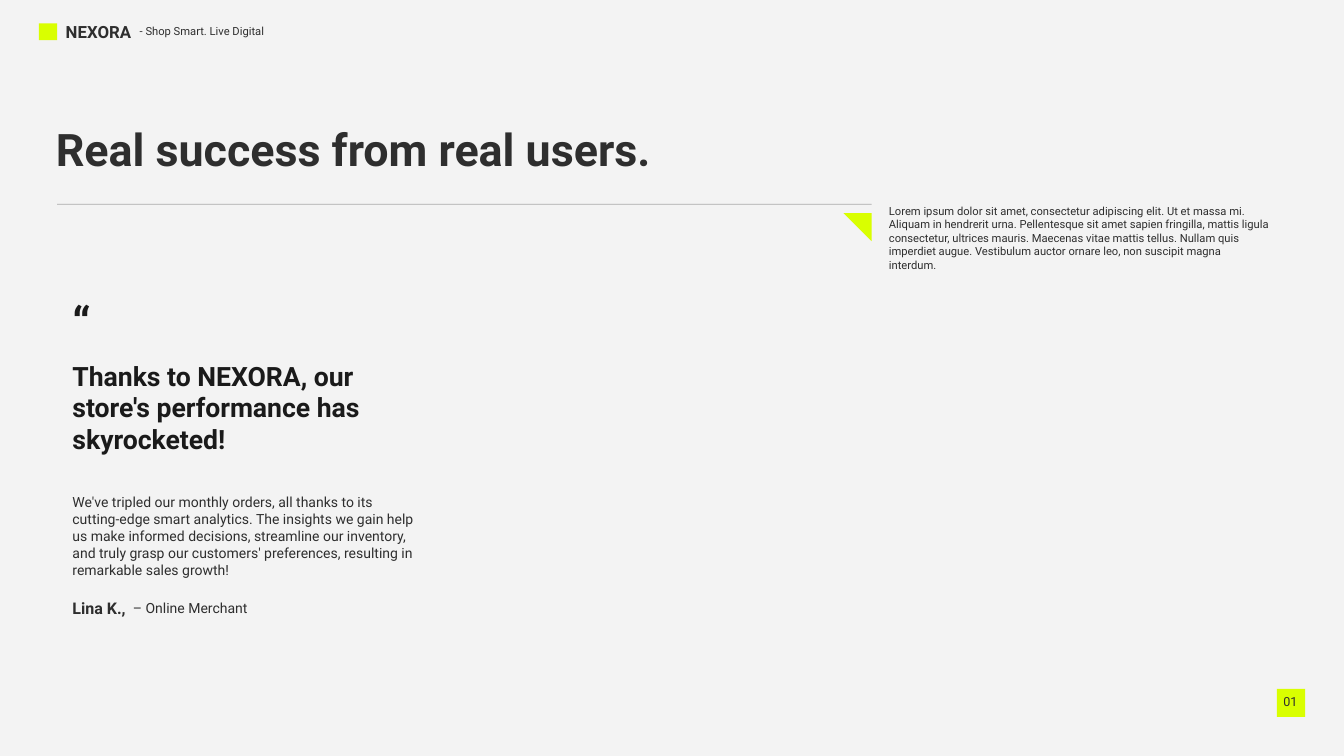
"""Build the customer testimonial slide."""
from lxml.etree import SubElement
from pptx import Presentation
from pptx.dml.color import RGBColor
from pptx.enum.shapes import MSO_CONNECTOR, MSO_SHAPE
from pptx.enum.text import MSO_ANCHOR, MSO_AUTO_SIZE, PP_ALIGN
from pptx.oxml.ns import qn
from pptx.util import Inches, Pt

WIDTH, HEIGHT = Inches(20), Inches(11.25)
FONT = "Roboto"
PAPER, INK, BLACK, LIME = "F3F3F3", "2E2E2E", "1A1A1A", "D9FF00"
MARGIN = 4.9

HEADLINE = ["Real success from real users."]
INTRO = [
    "Lorem ipsum dolor sit amet, consectetur adipiscing elit. Ut et massa mi.",
    "Aliquam in hendrerit urna. Pellentesque sit amet sapien fringilla, mattis ligula",
    "consectetur, ultrices mauris. Maecenas vitae mattis tellus. Nullam quis",
    "imperdiet augue. Vestibulum auctor ornare leo, non suscipit magna",
    "interdum.",
]
QUOTE = ["Thanks to NEXORA, our", "store's performance has", "skyrocketed!"]
STORY = [
    "We've tripled our monthly orders, all thanks to its",
    "cutting-edge smart analytics. The insights we gain help",
    "us make informed decisions, streamline our inventory,",
    "and truly grasp our customers' preferences, resulting in",
    "remarkable sales growth!",
]

# Areas are left, top, width and height in percent of the slide.
HEADLINE_AREA = (3.65, 15.64, 47.9, 8.09)
TEXTS = [
    (["“"], (MARGIN, 38.58, 2.85, 8.36), dict(size=48, color=BLACK, bold=True)),
    (["Lina K.,"], (MARGIN, 78.76, 5.3, 3.47), dict(size=17.2, bold=True)),
    (["– Online Merchant"], (9.4, 78.93, 9.85, 3.2), dict(size=15)),
    (["NEXORA"], (4.4, 2.4, 6.35, 3.56), dict(size=18, bold=True)),
    (["- Shop Smart. Live Digital"], (9.9, 2.84, 10.9, 2.67), dict(size=12)),
    (["01"], (95, 91.38, 2.05, 3.02), dict(size=13.5)),
    (INTRO, (65.65, 26.58, 32.45, 9.87), dict(size=12, wrap=True)),
    (STORY, (MARGIN, 64.89, 30, 12.09), dict(size=15, wrap=True)),
    (QUOTE, (MARGIN, 47.11, 26.7, 13.69),
     dict(size=28.5, color=BLACK, bold=True, wrap=True)),
]
ACCENTS = [
    (MSO_SHAPE.RECTANGLE, (2.9, 3.11, 1.35, 2.22), 0),
    (MSO_SHAPE.RECTANGLE, (95, 91.11, 2.1, 3.73), 0),
    (MSO_SHAPE.RIGHT_TRIANGLE, (62.75, 28.18, 2.1, 3.73), 180),
]
RULE_LEFT, RULE_RIGHT, RULE_TOP = 4.25, 64.85, 27.02


def paint(color_format, color):
    color_format.rgb = RGBColor.from_string(color)


def place(area):
    return [round(share * side / 100)
            for share, side in zip(area, (WIDTH, HEIGHT, WIDTH, HEIGHT))]


def write(holder, lines, *, size, color=INK, bold=False, wrap=False):
    frame = holder.text_frame
    frame.text = "\n".join(lines)
    frame.word_wrap = wrap
    frame.auto_size = MSO_AUTO_SIZE.SHAPE_TO_FIT_TEXT
    frame.vertical_anchor = MSO_ANCHOR.TOP
    for paragraph in frame.paragraphs:
        paragraph.alignment = PP_ALIGN.LEFT
        paragraph.line_spacing = 1.0
        font = paragraph.runs[0].font
        font.name, font.size, font.bold = FONT, Pt(size), bold
        paint(font.color, color)


def add_accent(slide, preset, area, rotation):
    accent = slide.shapes.add_shape(preset, *place(area))
    accent.shadow.inherit = False
    accent.rotation = rotation
    accent.fill.solid()
    paint(accent.fill.fore_color, LIME)
    accent.line.fill.background()


def add_rule(slide):
    start_x, y, end_x, _ = place((RULE_LEFT, RULE_TOP, RULE_RIGHT, 0))
    rule = slide.shapes.add_connector(MSO_CONNECTOR.STRAIGHT, start_x, y, end_x, y)
    rule.line.width = Pt(0.75)
    paint(rule.line.color, "000000")
    properties = rule._element.spPr
    SubElement(next(properties.iter(qn("a:srgbClr"))), qn("a:alpha"), val="30000")
    SubElement(properties, qn("a:effectLst"))


def main():
    deck = Presentation()
    deck.slide_width, deck.slide_height = WIDTH, HEIGHT
    slide = deck.slides.add_slide(deck.slide_layouts.get_by_name("Title Only"))
    slide.background.fill.solid()
    paint(slide.background.fill.fore_color, PAPER)

    title = slide.shapes.title
    title.left, title.top, title.width, title.height = place(HEADLINE_AREA)
    write(title, HEADLINE, size=48, bold=True)

    for preset, area, rotation in ACCENTS:
        add_accent(slide, preset, area, rotation)
    add_rule(slide)
    for lines, area, style in TEXTS:
        write(slide.shapes.add_textbox(*place(area)), lines, **style)
    deck.save("out.pptx")


if __name__ == "__main__":
    main()
